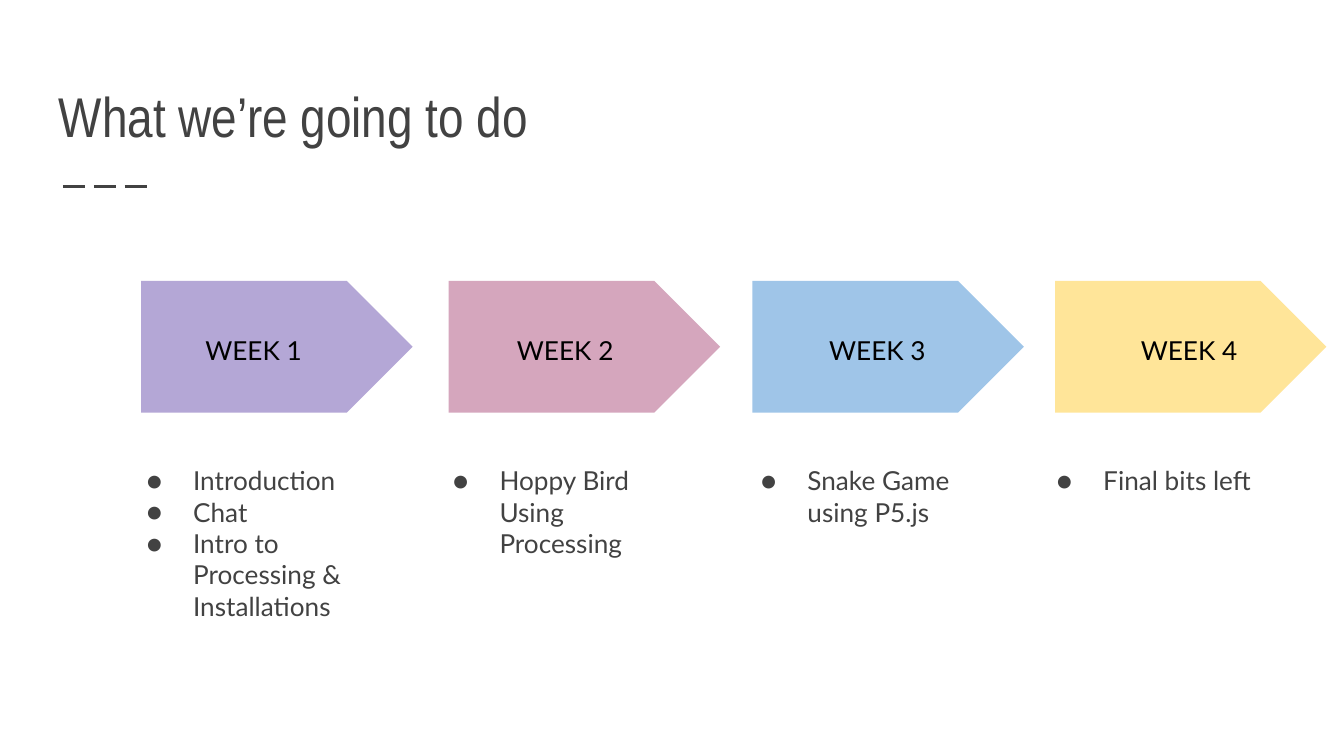
import pptx
import pptx.util
import pptx.dml.color
import pptx.enum.dml
import pptx.enum.shapes
import pptx.enum.text
import pptx.oxml
import pptx.oxml.ns

Cm = pptx.util.Cm
Pt = pptx.util.Pt
Anchor = pptx.enum.text.MSO_ANCHOR
Rgb = pptx.dml.color.RGBColor

HUES = {"ink": "424242", "black": "000000", "week 1": "B4A7D6",
        "week 2": "D5A6BD", "week 3": "9FC5E8", "week 4": "FFE599"}
FRAME = {"word_wrap": True, "auto_size": pptx.enum.text.MSO_AUTO_SIZE.NONE,
         "margin_left": Cm(0.25), "margin_right": Cm(0.25),
         "margin_top": Cm(0.25), "margin_bottom": Cm(0.25)}
PARA = {"alignment": pptx.enum.text.PP_ALIGN.LEFT,
        "space_before": Pt(0), "space_after": Pt(0)}
HEAD = {"name": "Arial Narrow", "size": Pt(30), "bold": False}
BODY = {"name": "Lato", "size": Pt(14), "bold": False}

WEEKS = [
    (2.67, 0.96, -0.54, ["Introduction", "Chat",
                         "Intro to Processing & Installations"]),
    (8.48, 1.04, -0.56, ["Hoppy Bird Using Processing"]),
    (14.22, 1.2, -0.48, ["Snake Game using P5.js"]),
    (19.94, 1.37, -0.61, ["Final bits left"]),
]


def apply(item, style):
    """Set every attribute listed in a style dict."""
    for key, value in style.items():
        setattr(item, key, value)


def place(shape, box):
    """Move a shape to a box of left, top, width and height in cm."""
    names = ("left", "top", "width", "height")
    apply(shape, {name: Cm(size) for name, size in zip(names, box)})


def write(shape, lines, font, hue, anchor=Anchor.TOP):
    """Fill a shape with one formatted paragraph per line."""
    frame = shape.text_frame
    frame.text = "\n".join(lines)
    apply(frame, {**FRAME, "vertical_anchor": anchor})
    for para in frame.paragraphs:
        apply(para, PARA)
        for run in para.runs:
            apply(run.font, font)
            run.font.color.rgb = Rgb.from_string(HUES[hue])


def bullet(para):
    """Give a paragraph a round bullet and a hanging indent."""
    props = para._p.get_or_add_pPr()
    props.set("marL", str(Cm(1.27)))
    props.set("indent", str(Cm(-0.88)))
    space = pptx.oxml.ns.nsdecls("a")
    for xml in (f'<a:buClr {space}><a:srgbClr val="{HUES["ink"]}"/></a:buClr>',
                f'<a:buFont {space} typeface="Lato"/>',
                f'<a:buChar {space} char="●"/>'):
        props.append(pptx.oxml.parse_xml(xml))


def header(slide, box):
    """Place the title and the dashed rule below it."""
    left, top, width, height = box
    title = slide.shapes.title
    place(title, box)
    write(title, ["What we’re going to do"], HEAD, "ink", Anchor.BOTTOM)
    start, level = left + 0.33, top + height + 0.46
    rule = slide.shapes.add_connector(
        pptx.enum.shapes.MSO_CONNECTOR.STRAIGHT,
        Cm(start), Cm(level), Cm(start + 1.7), Cm(level))
    rule.line.color.rgb = Rgb.from_string(HUES["ink"])
    apply(rule.line, {"width": Pt(1.5),
                      "dash_style": pptx.enum.dml.MSO_LINE.LONG_DASH})
    rule._element.spPr.append(pptx.oxml.parse_xml(
        f'<a:effectLst {pptx.oxml.ns.nsdecls("a")}/>'))


def week(slide, box, number, inset, shift, topics):
    """Place one week's arrow, its label and its list of topics."""
    left, top, width, height = box
    arrow = slide.shapes.add_shape(
        pptx.enum.shapes.MSO_SHAPE.PENTAGON, 0, 0, 0, 0)
    place(arrow, box)
    arrow.shadow.inherit = False
    arrow.fill.solid()
    arrow.fill.fore_color.rgb = Rgb.from_string(HUES[f"week {number}"])
    arrow.line.fill.background()

    label = slide.shapes.add_textbox(0, 0, 0, 0)
    place(label, (left + inset, top + 0.76, 2.67, 1))
    write(label, [f"WEEK {number}"], BODY, "black")

    body = slide.placeholders[number]
    place(body, (left + shift, top + 3.22, 4.78, 2.82))
    write(body, topics, BODY, "ink")
    for para in body.text_frame.paragraphs:
        bullet(para)


def main():
    """Build the slide and save it."""
    deck = pptx.Presentation()
    apply(deck, {"slide_width": Cm(25.4), "slide_height": Cm(14.29)})
    slide = deck.slides.add_slide(deck.slide_layouts.get_by_name("Comparison"))
    header(slide, (0.86, 1.04, 23.67, 2.03))
    for number, (left, inset, shift, topics) in enumerate(WEEKS, 1):
        week(slide, (left, 5.31, 5.13, 2.49), number, inset, shift, topics)
    deck.save("out.pptx")


if __name__ == "__main__":
    main()
